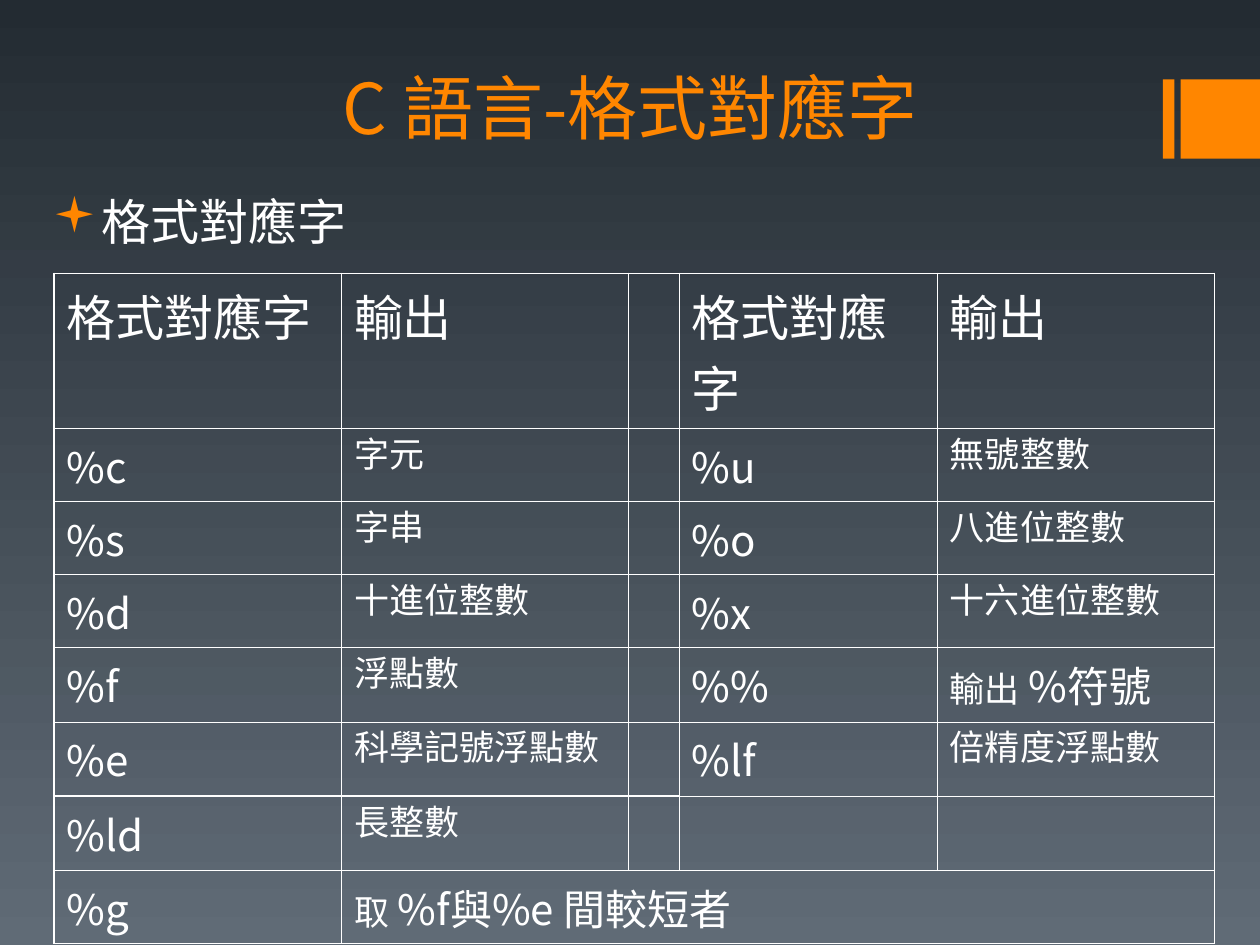
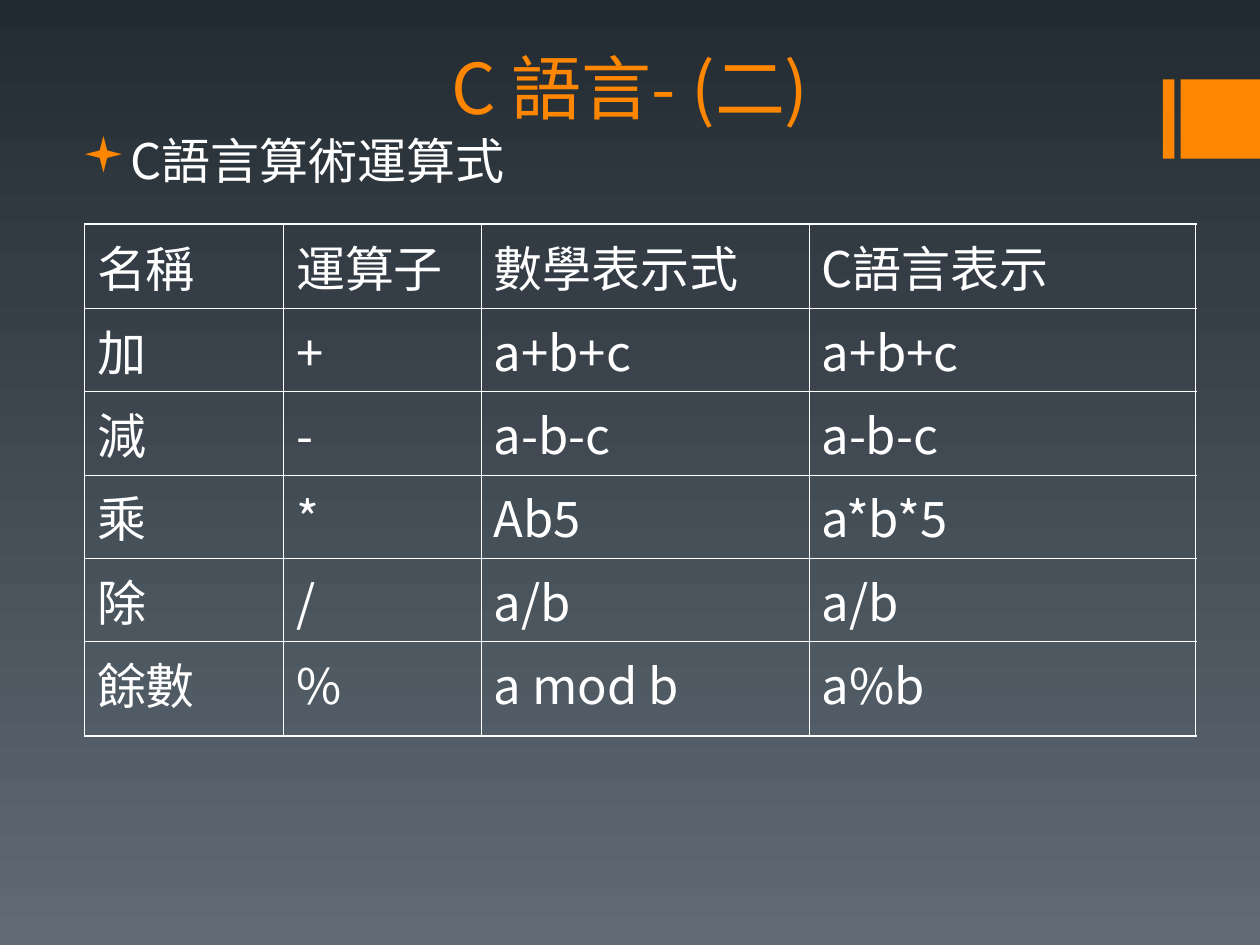
"""Build two slides on C format specifiers and arithmetic operators."""
from dataclasses import dataclass

import lxml.etree
import pptx
import pptx.dml.color
import pptx.enum.shapes
import pptx.enum.text
import pptx.oxml
import pptx.oxml.ns
import pptx.util

Inches = pptx.util.Inches
qn = pptx.oxml.ns.qn


@dataclass(frozen=True)
class Theme:
    accent: str = "FF8600"
    text: str = "FFFFFF"
    background_top: str = "232B32"
    background_bottom: str = "606B76"
    main_font: str = "Noto Sans CJK SC"
    detail_font: str = "Roboto"
    bullet_font: str = "Wingdings"
    title_size: int = 40
    heading_size: int = 28
    symbol_size: int = 24
    detail_size: int = 20
    thin_line: float = 0.45
    thick_line: float = 1.08


THEME = Theme()
HEADING = {"size": THEME.heading_size}
SYMBOL = {"size": THEME.symbol_size}
DETAIL = {"size": THEME.detail_size, "font": THEME.detail_font}

SPECIFIER_HEADER = ["格式對應字", "輸出", "", "格式對應字", "輸出"]
SPECIFIERS = [
    ["%c", "字元", "", "%u", "無號整數"],
    ["%s", "字串", "", "%o", "八進位整數"],
    ["%d", "十進位整數", "", "%x", "十六進位整數"],
    ["%f", "浮點數", "", "%%", ("輸出 ", "%符號")],
    ["%e", "科學記號浮點數", "", "%lf", "倍精度浮點數"],
    ["%ld", "長整數", "", "", ""],
    ["%g", ("取 ", "%f與%e 間較短者"), "", "", ""],
]
OPERATORS = [
    ["名稱", "運算子", "數學表示式", "C語言表示"],
    ["加", "+", "a+b+c", "a+b+c"],
    ["減", "-", "a-b-c", "a-b-c"],
    ["乘", "*", "Ab5", "a*b*5"],
    ["除", "/", "a/b", "a/b"],
    ["餘數", "%", "a mod b", "a%b"],
]


def color(value):
    """Return an RGB colour from its hexadecimal text."""
    return pptx.dml.color.RGBColor.from_string(value)


def add_text(paragraph, text, *, size, font=THEME.main_font, fill=THEME.text):
    """Add a formatted run to a paragraph."""
    run = paragraph.add_run()
    run.text = text
    run.font.size = pptx.util.Pt(size)
    run.font.color.rgb = color(fill)
    run.font.name = font
    east_asian = lxml.etree.SubElement(run._r.get_or_add_rPr(), qn("a:ea"))
    east_asian.set("typeface", font)


def set_background(master):
    """Give the master a vertical gradient background."""
    fill = master.background.fill
    fill.gradient()
    fill.gradient_angle = 270
    colors = (THEME.background_top, THEME.background_bottom)
    for stop, position, value in zip(fill.gradient_stops, (0, 1), colors):
        stop.position = position
        stop.color.rgb = color(value)


def add_accent_bars(slide):
    """Add the two accent blocks at the right edge."""
    for left, width in ((9.23, 0.09), (9.37, 0.63)):
        bar = slide.shapes.add_shape(
            pptx.enum.shapes.MSO_SHAPE.RECTANGLE,
            Inches(left), Inches(0.63), Inches(width), Inches(0.63))
        bar.shadow.inherit = False
        bar.fill.solid()
        bar.fill.fore_color.rgb = color(THEME.accent)
        bar.line.fill.background()


def place(shape, left, top, width, height):
    """Move and size a shape in inches."""
    shape.left, shape.top = Inches(left), Inches(top)
    shape.width, shape.height = Inches(width), Inches(height)


def add_titled_slide(presentation, title, top, height):
    """Add a title-only slide with the shared title style and bars."""
    slide = presentation.slides.add_slide(presentation.slide_layouts[5])
    add_accent_bars(slide)
    shape = slide.shapes.title
    place(shape, 0.5, top, 9, height)
    frame = shape.text_frame
    frame.vertical_anchor = pptx.enum.text.MSO_ANCHOR.BOTTOM
    paragraph = frame.paragraphs[0]
    paragraph.alignment = pptx.enum.text.PP_ALIGN.CENTER
    add_text(paragraph, title, size=THEME.title_size, fill=THEME.accent)
    return slide


def add_bullet(slide, text, left, top, width, height):
    """Add a text box holding one bulleted heading."""
    box = slide.shapes.add_textbox(
        Inches(left), Inches(top), Inches(width), Inches(height))
    frame = box.text_frame
    frame.word_wrap = True
    paragraph = frame.paragraphs[0]
    properties = paragraph._p.get_or_add_pPr()
    properties.set("marL", str(Inches(0.25)))
    properties.set("indent", str(Inches(-0.2)))
    bullet_color = lxml.etree.SubElement(properties, qn("a:buClr"))
    lxml.etree.SubElement(bullet_color, qn("a:srgbClr")).set("val", THEME.accent)
    lxml.etree.SubElement(properties, qn("a:buFont")).set(
        "typeface", THEME.bullet_font)
    lxml.etree.SubElement(properties, qn("a:buChar")).set("char", "▪")
    add_text(paragraph, text, **HEADING)


def set_border(cell, side, points):
    """Draw one side (L, R, T or B) of a cell."""
    line = lxml.etree.SubElement(
        cell._tc.get_or_add_tcPr(), qn(f"a:ln{side}"))
    line.set("w", str(pptx.util.Pt(points)))
    fill = lxml.etree.SubElement(line, qn("a:solidFill"))
    lxml.etree.SubElement(fill, qn("a:srgbClr")).set("val", THEME.text)


def add_grid(slide, left, top, columns, heights, thick_below=()):
    """Add an unfilled table with a heavy outline and return it."""
    table = slide.shapes.add_table(
        len(heights), len(columns), Inches(left), Inches(top),
        Inches(sum(columns)), Inches(sum(heights))).table
    table.first_row = table.horz_banding = False
    for column, width in zip(table.columns, columns):
        column.width = Inches(width)
    for row, height in zip(table.rows, heights):
        row.height = Inches(height)
    last_row, last_column = len(heights) - 1, len(columns) - 1
    for r in range(len(heights)):
        for c in range(len(columns)):
            cell = table.cell(r, c)
            thick = {
                "L": c == 0,
                "R": c == last_column,
                "T": r == 0 or (r - 1, c) in thick_below,
                "B": r == last_row or (r, c) in thick_below,
            }
            for side, heavy in thick.items():
                set_border(cell, side,
                           THEME.thick_line if heavy else THEME.thin_line)
            cell.fill.background()
    return table


def fill_row(table, row, contents, formats):
    """Write one table row; a pair is a detail run and a symbol run."""
    for column, (content, style) in enumerate(zip(contents, formats)):
        paragraph = table.cell(row, column).text_frame.paragraphs[0]
        if isinstance(content, tuple):
            for part, part_style in zip(content, (DETAIL, SYMBOL)):
                add_text(paragraph, part, **part_style)
        elif content:
            add_text(paragraph, content, **style)


def build_specifier_slide(presentation):
    """Build the table of format specifiers."""
    slide = add_titled_slide(presentation, "C 語言-格式對應字", 0.32, 0.91)
    add_bullet(slide, "格式對應字", 0.27, 1.47, 9.45, 5.51)
    thick_below = {(5, column) for column in range(3)}
    thick_below |= {(6, column) for column in range(5)}
    table = add_grid(slide, 0.43, 2.17, [2.28, 2.28, 0.4, 2.05, 2.2],
                     [1.23] + [0.58] * 3 + [0.59] * 3 + [0.58], thick_below)
    table.cell(7, 1).merge(table.cell(7, 4))
    fill_row(table, 0, SPECIFIER_HEADER, [HEADING] * 5)
    for row, contents in enumerate(SPECIFIERS, start=1):
        fill_row(table, row, contents, [SYMBOL, DETAIL, DETAIL, SYMBOL, DETAIL])


def build_operator_slide(presentation):
    """Build the table of arithmetic operators."""
    slide = add_titled_slide(presentation, "C 語言- (二)", 0, 1.07)
    add_bullet(slide, "C語言算術運算式", 0.5, 0.99, 9.15, 0.79)
    table = add_grid(slide, 0.67, 1.78, [1.58, 1.57, 2.6, 3.07],
                     [0.67] + [0.66] * 4 + [0.75])
    for row, contents in enumerate(OPERATORS):
        fill_row(table, row, contents, [HEADING] * 4)


def main():
    """Build and save the presentation."""
    presentation = pptx.Presentation()
    presentation.slide_width = Inches(10)
    presentation.slide_height = Inches(7.5)
    set_background(presentation.slide_master)
    build_specifier_slide(presentation)
    build_operator_slide(presentation)
    presentation.save("out.pptx")


if __name__ == "__main__":
    main()
